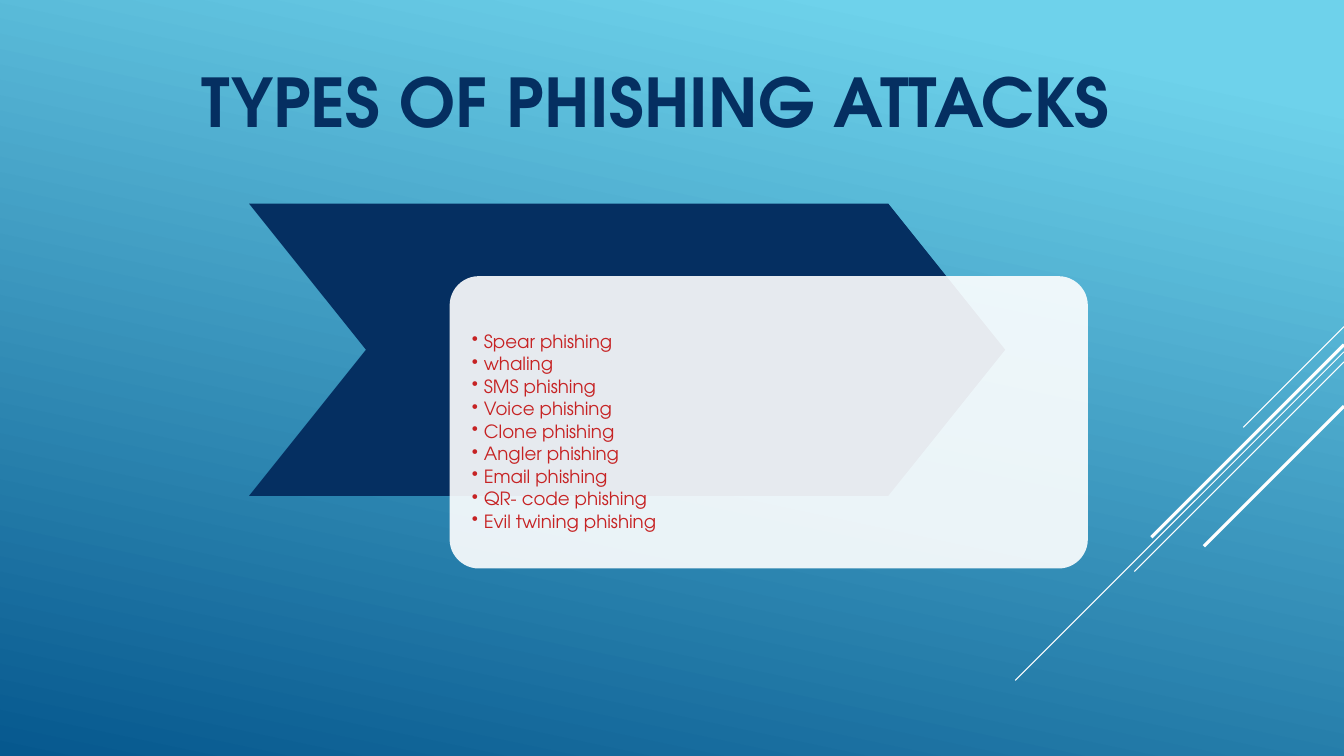
from lxml import etree
from pptx import Presentation
from pptx.dml.color import RGBColor
from pptx.enum.shapes import MSO_CONNECTOR, MSO_SHAPE
from pptx.enum.text import MSO_ANCHOR, PP_ALIGN
from pptx.oxml.ns import qn
from pptx.util import Inches, Pt

NAVY = RGBColor(0x05, 0x2F, 0x61)
RED = RGBColor(0xC6, 0x23, 0x24)
WHITE = RGBColor(0xFF, 0xFF, 0xFF)
SKY = RGBColor(0x6E, 0xD2, 0xEB)
DEEP = RGBColor(0x06, 0x58, 0x8E)
FONT = "TeX Gyre Adventor"
LINE = MSO_CONNECTOR.STRAIGHT
CHEVRON = MSO_SHAPE.CHEVRON
ROUND = MSO_SHAPE.ROUNDED_RECTANGLE
TOP = MSO_ANCHOR.TOP
LEFT, CENTER = PP_ALIGN.LEFT, PP_ALIGN.CENTER

deck = Presentation()
deck.slide_width, deck.slide_height = Inches(13.33), Inches(7.5)
slide = deck.slides.add_slide(deck.slide_layouts[6])
shapes = slide.shapes


def add_text(lines, box, size, color, bold=False, align=LEFT,
             inset=(0.1, 0.05), bullet=False):
    frame = shapes.add_textbox(*map(Inches, box)).text_frame
    frame.word_wrap = True
    frame.vertical_anchor = TOP
    frame.margin_left = frame.margin_right = Inches(inset[0])
    frame.margin_top = Inches(inset[1])
    for i, line in enumerate(lines):
        para = frame.add_paragraph() if i else frame.paragraphs[0]
        para.alignment = align
        if bullet:
            props = para._p.get_or_add_pPr()
            props.set("marL", str(Inches(0.12)))
            props.set("indent", str(Inches(-0.12)))
            etree.SubElement(props, qn("a:buChar")).set("char", "•")
            para.line_spacing = 0.9
            para.space_after = Pt(2)
        run = para.add_run()
        run.text = line
        font = run.font
        font.name, font.size, font.bold = FONT, Pt(size), bold
        font.color.rgb = color


# Background gradient
fill = slide.background.fill
fill.gradient()
fill.gradient_angle = 258
for stop, color, place in zip(fill.gradient_stops, (SKY, DEEP), (0.1, 1)):
    stop.color.rgb = color
    stop.position = place

# Diagonal lines: top at the right edge, drop, weight
for top, drop, weight in [(3.24, 1, 0.75), (3.49, 3.26, 0.75),
                          (3.59, 2.08, 0.75), (3.42, 1.91, 2.25),
                          (4.03, 1.39, 2.25)]:
    ray = shapes.add_connector(LINE, Inches(13.33), Inches(top),
                               Inches(13.33 - drop), Inches(top + drop))
    ray.line.color.rgb = WHITE
    ray.line.width = Pt(weight)
    etree.SubElement(ray._element.spPr, qn("a:effectLst"))

# Title
add_text(["TYPES OF PHISHING ATTACKS"], (1.15, 0.55, 10.7, 0.91), 48, NAVY,
         bold=True, align=CENTER)

# Chevron and translucent card
for kind, box, color, adjust in [(CHEVRON, (2.47, 2.02, 7.5, 2.9), NAVY, 0.4),
                                 (ROUND, (4.46, 2.74, 6.33, 2.9), WHITE, 0.1)]:
    card = shapes.add_shape(kind, *map(Inches, box))
    card.adjustments[0] = adjust
    card.fill.solid()
    card.fill.fore_color.rgb = color
    card.line.fill.background()
    card.shadow.inherit = False
tint = card._element.spPr.find(qn("a:solidFill"))[0]
etree.SubElement(tint, qn("a:alpha")).set("val", "90000")

# List of attacks
attacks = ["Spear phishing", "whaling", "SMS phishing", "Voice phishing",
           "Clone phishing", "Angler phishing", "Email phishing",
           "QR- code phishing", "Evil twining phishing"]
add_text(attacks, (4.55, 2.83, 6.16, 2.73), 13, RED,
         inset=(0.13, 0.47), bullet=True)

deck.save("out.pptx")
